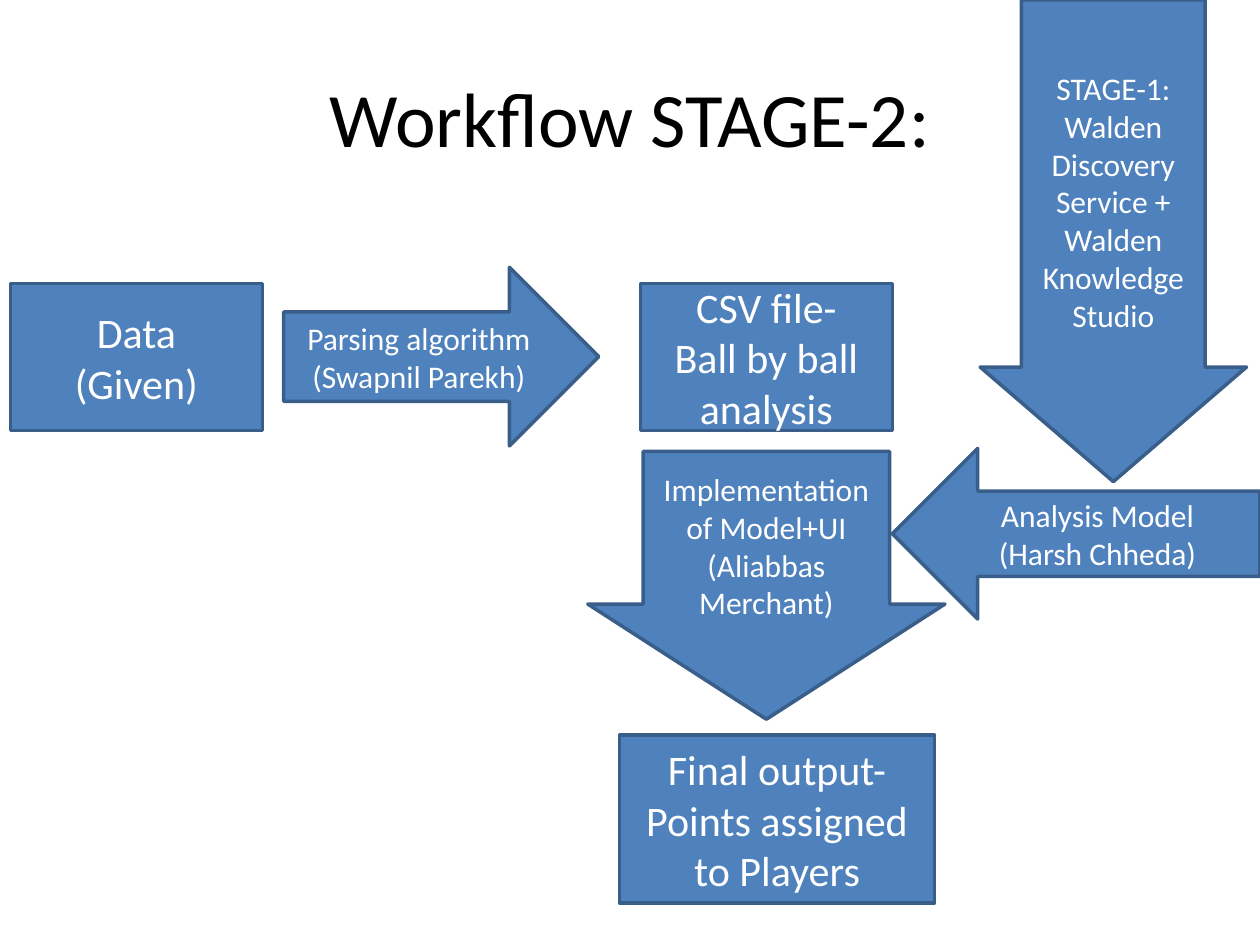
"""Build the stage-2 workflow slide."""
from dataclasses import dataclass

from pptx import Presentation
from pptx import util as u
from pptx.dml.color import RGBColor
from pptx.enum import shapes, text

BLUE = RGBColor(0x4F, 0x81, 0xBD)
DARK_BLUE = RGBColor(0x39, 0x5E, 0x89)
WHITE = RGBColor(0xFF, 0xFF, 0xFF)
BLACK = RGBColor(0, 0, 0)
FONT = "Calibri"
KIND = shapes.MSO_SHAPE
BOX_SIZE, ARROW_SIZE, TITLE_SIZE = 24, 18, 44
ROW_TOP = 5.72
BOX_WIDTH, BOX_HEIGHT = 5.08, 2.96
EVEN_ARROW = (0.5, 0.5)
WIDE_ARROW = (0.69, 0.43)


@dataclass(frozen=True)
class Step:
    kind: shapes.MSO_SHAPE
    left: float
    top: float
    width: float
    height: float
    lines: tuple[str, ...]
    size: int = ARROW_SIZE
    adjustments: tuple[float, ...] = ()


STEPS = (
    Step(KIND.RECTANGLE, 0.21, ROW_TOP, BOX_WIDTH, BOX_HEIGHT,
         ("Data", "(Given)"), BOX_SIZE),
    Step(KIND.RIGHT_ARROW, 5.72, 5.39, 6.35, 3.6,
         ("Parsing algorithm", "(Swapnil Parekh)"), adjustments=EVEN_ARROW),
    Step(KIND.RECTANGLE, 12.91, ROW_TOP, BOX_WIDTH, BOX_HEIGHT,
         ("CSV file-", "Ball by ball analysis"), BOX_SIZE),
    Step(KIND.DOWN_ARROW, 11.85, 9.1, 7.2, 5.4,
         ("Implementation", "of Model+UI", "(Aliabbas Merchant)"),
         adjustments=WIDE_ARROW),
    Step(KIND.LEFT_ARROW, 17.99, 9.04, 7.41, 3.44,
         ("Analysis Model", "(Harsh Chheda)"), adjustments=EVEN_ARROW),
    Step(KIND.RECTANGLE, 12.49, 14.82, 6.35, 3.39,
         ("Final output-", "Points assigned to Players"), BOX_SIZE),
    Step(KIND.DOWN_ARROW, 19.76, 0, 5.37, 9.71,
         ("STAGE-1:", "Walden", "Discovery Service +",
          "Walden Knowledge Studio"), adjustments=WIDE_ARROW),
)


def write_lines(shape, lines: tuple[str, ...], size: int, color: RGBColor) -> None:
    frame = shape.text_frame
    frame.word_wrap = True
    frame.vertical_anchor = text.MSO_ANCHOR.MIDDLE
    frame.text = "\n".join(lines)
    for paragraph in frame.paragraphs:
        paragraph.alignment = text.PP_ALIGN.CENTER
        paragraph.font.name = FONT
        paragraph.font.size = u.Pt(size)
        paragraph.font.color.rgb = color


def draw_step(page, step: Step) -> None:
    shape = page.shapes.add_shape(
        step.kind, u.Cm(step.left), u.Cm(step.top),
        u.Cm(step.width), u.Cm(step.height))
    for index, value in enumerate(step.adjustments):
        shape.adjustments[index] = value
    shape.shadow.inherit = False
    shape.fill.solid()
    shape.fill.fore_color.rgb = BLUE
    shape.line.color.rgb = DARK_BLUE
    shape.line.width = u.Pt(2)
    write_lines(shape, step.lines, step.size, WHITE)


def main() -> None:
    deck = Presentation()
    deck.slide_width, deck.slide_height = u.Cm(25.4), u.Cm(19.05)
    page = deck.slides.add_slide(deck.slide_layouts[6])
    title = page.shapes.add_textbox(
        u.Cm(1.27), u.Cm(0.76), u.Cm(22.86), u.Cm(3.18))
    write_lines(title, ("Workflow STAGE-2:",), TITLE_SIZE, BLACK)
    for step in STEPS:
        draw_step(page, step)
    deck.save("out.pptx")


if __name__ == "__main__":
    main()
